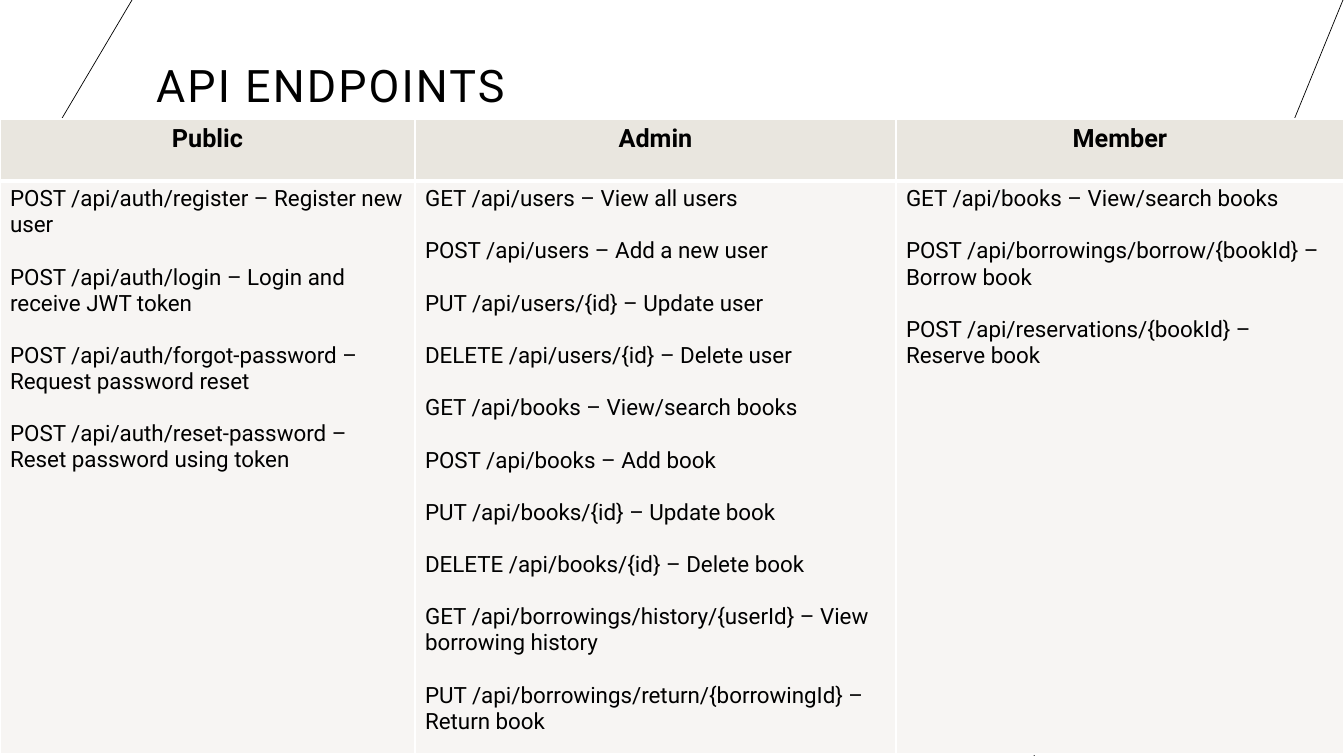
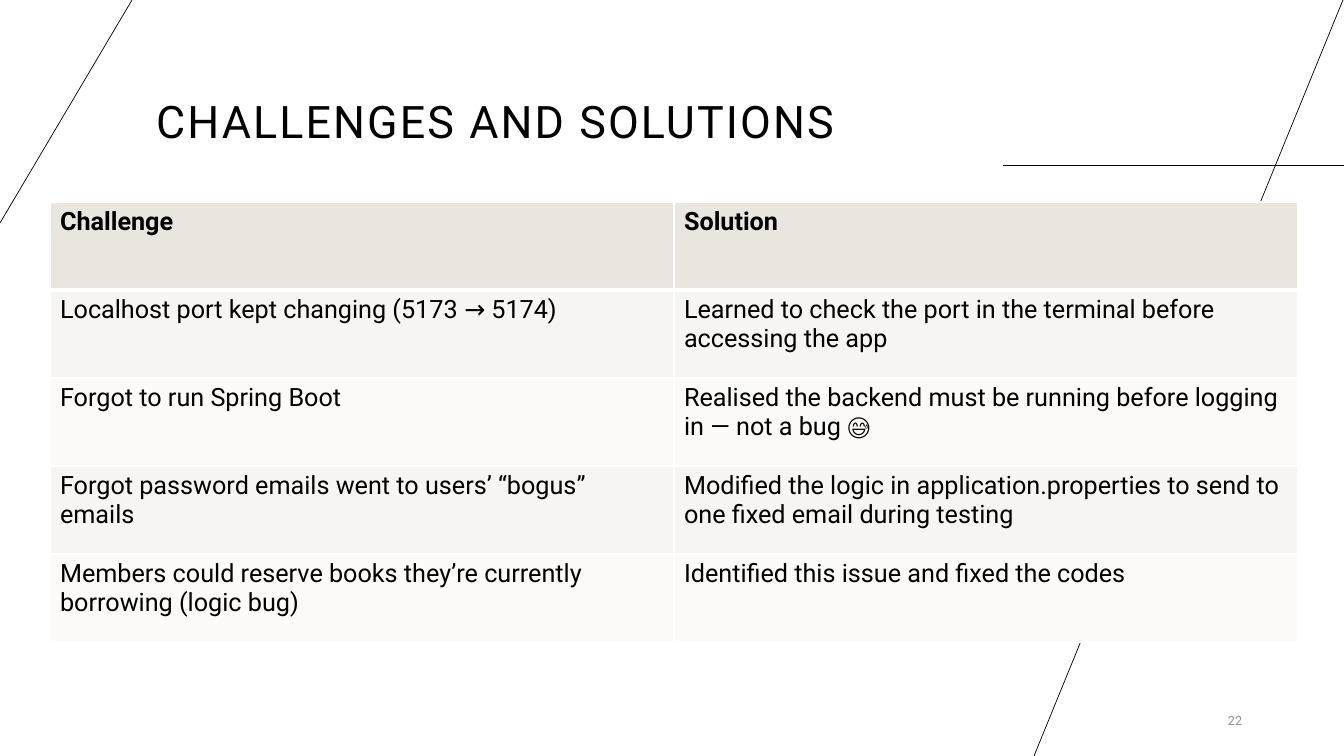
from lxml import etree
from pptx import Presentation
from pptx.dml.color import RGBColor
from pptx.enum.shapes import MSO_CONNECTOR
from pptx.enum.text import MSO_ANCHOR, MSO_AUTO_SIZE, PP_ALIGN
from pptx.oxml import parse_xml
from pptx.oxml.ns import nsdecls, qn
from pptx.util import Pt

PX = 12192000 / 1344  # one px in EMU
SLIDE_WIDTH, SLIDE_HEIGHT = 1344, 756
FONT = "Roboto"
COLORS = {
    "text": "000000",
    "line": "000000",
    "border": "FFFFFF",
    "header": "E9E6DF",
    "band_dark": "F7F5F3",
    "band_light": "FBFAF9",
    "number": "8C8C8C",
}
DECOR_LINES = [
    (1003, 165, 1344, 165),
    (1343, 0, 1034, 756),
    (0, 223, 132, 0),
]

SLIDES = [
    {
        "title": "API ENDPOINTS",
        "title_box": (146, 27, 803, 90),
        "table_at": (0, 119),
        "columns": [415, 481, 448],
        "rows": [62, 573],
        "header_align": PP_ALIGN.CENTER,
        "body_size": 16,
        "cells": [
            ["Public", "Admin", "Member"],
            [
                [
                    "POST /api/auth/register – Register new user",
                    "POST /api/auth/login – Login and receive JWT token",
                    "POST /api/auth/forgot-password – Request password reset",
                    "POST /api/auth/reset-password – Reset password using token",
                ],
                [
                    "GET /api/users – View all users",
                    "POST /api/users – Add a new user",
                    "PUT /api/users/{id} – Update user",
                    "DELETE /api/users/{id} – Delete user",
                    "GET /api/books – View/search books",
                    "POST /api/books – Add book",
                    "PUT /api/books/{id} – Update book",
                    "DELETE /api/books/{id} – Delete book",
                    "GET /api/borrowings/history/{userId} – View borrowing history",
                    "PUT /api/borrowings/return/{borrowingId} – Return book",
                ],
                [
                    "GET /api/books – View/search books",
                    "POST /api/borrowings/borrow/{bookId} – Borrow book",
                    "POST /api/reservations/{bookId} – Reserve book",
                ],
            ],
        ],
    },
    {
        "title": "CHALLENGES AND SOLUTIONS",
        "title_box": (146, 67, 803, 86),
        "table_at": (50, 202),
        "columns": [624] * 2,
        "rows": [88] * 5,
        "header_align": PP_ALIGN.LEFT,
        "body_size": 18,
        "number": "22",
        "cells": [
            ["Challenge", "Solution"],
            [
                "Localhost port kept changing (5173 → 5174)",
                "Learned to check the port in the terminal before accessing the app",
            ],
            [
                "Forgot to run Spring Boot",
                "Realised the backend must be running before logging in — not a bug 😅",
            ],
            [
                "Forgot password emails went to users’ “bogus” emails",
                "Modified the logic in application.properties to send to one fixed email during testing",
            ],
            [
                "Members could reserve books they’re currently borrowing (logic bug)",
                "Identified this issue and fixed the codes",
            ],
        ],
    },
]


def write_text(frame, text, size=18, color="text", bold=False, align=PP_ALIGN.LEFT,
               line_spacing=None, tracking=None, gap=0):
    """Fill a text frame with one string or a list of paragraphs, gap points apart."""
    lines = [text] if isinstance(text, str) else text
    for index, line in enumerate(lines):
        paragraph = frame.add_paragraph() if index else frame.paragraphs[0]
        paragraph.alignment = align
        paragraph.line_spacing = line_spacing
        if index:
            paragraph.space_before = Pt(gap)
        run = paragraph.add_run()
        run.text = line
        run.font.name = FONT
        run.font.size = Pt(size)
        run.font.bold = bold
        run.font.color.rgb = RGBColor.from_string(COLORS[color])
        if tracking:
            run._r.get_or_add_rPr().set("spc", str(int(tracking * 100)))


def format_cell(cell, fill, bottom=1, top=1):
    """Set the white borders, in points, and then the fill."""
    properties = cell._tc.get_or_add_tcPr()
    for side, width in (("L", 1), ("R", 1), ("T", top), ("B", bottom)):
        properties.append(parse_xml(
            f'<a:ln{side} {nsdecls("a")} w="{Pt(width)}"><a:solidFill>'
            f'<a:srgbClr val="{COLORS["border"]}"/></a:solidFill></a:ln{side}>'))
    cell.fill.solid()
    cell.fill.fore_color.rgb = RGBColor.from_string(COLORS[fill])


presentation = Presentation()
presentation.slide_width = round(SLIDE_WIDTH * PX)
presentation.slide_height = round(SLIDE_HEIGHT * PX)
title_only = presentation.slide_layouts[5]

for content in SLIDES:
    slide = presentation.slides.add_slide(title_only)

    for ends in DECOR_LINES:
        connector = slide.shapes.add_connector(
            MSO_CONNECTOR.STRAIGHT, *(round(value * PX) for value in ends))
        connector.line.width = Pt(0.5)
        connector.line.color.rgb = RGBColor.from_string(COLORS["line"])
        etree.SubElement(connector._element.spPr, qn("a:effectLst"))

    title = slide.shapes.title
    title.left, title.top, title.width, title.height = (
        round(value * PX) for value in content["title_box"])
    title.text_frame.word_wrap = True
    title.text_frame.auto_size = MSO_AUTO_SIZE.NONE
    title.text_frame.vertical_anchor = MSO_ANCHOR.BOTTOM
    write_text(title.text_frame, content["title"], size=32, line_spacing=0.9, tracking=1.5)

    columns, rows = content["columns"], content["rows"]
    box = (*content["table_at"], sum(columns), sum(rows))
    table = slide.shapes.add_table(
        len(rows), len(columns), *(round(value * PX) for value in box)).table
    for column, width in zip(table.columns, columns):
        column.width = round(width * PX)
    for row, height in zip(table.rows, rows):
        row.height = round(height * PX)

    for row_index, texts in enumerate(content["cells"]):
        for column_index, text in enumerate(texts):
            cell = table.cell(row_index, column_index)
            if row_index == 0:
                format_cell(cell, "header", bottom=3)
                write_text(cell.text_frame, text, bold=True, align=content["header_align"])
            else:
                format_cell(cell, "band_dark" if row_index % 2 else "band_light",
                            top=3 if row_index == 1 else 1)
                write_text(cell.text_frame, text, size=content["body_size"], gap=18.75)

    if "number" in content:
        number_box = slide.shapes.add_textbox(
            *(round(value * PX) for value in (1143, 701, 109, 40)))
        number_box.text_frame.word_wrap = True
        number_box.text_frame.vertical_anchor = MSO_ANCHOR.MIDDLE
        write_text(number_box.text_frame, content["number"], size=9, color="number",
                   align=PP_ALIGN.RIGHT)

presentation.save("out.pptx")
